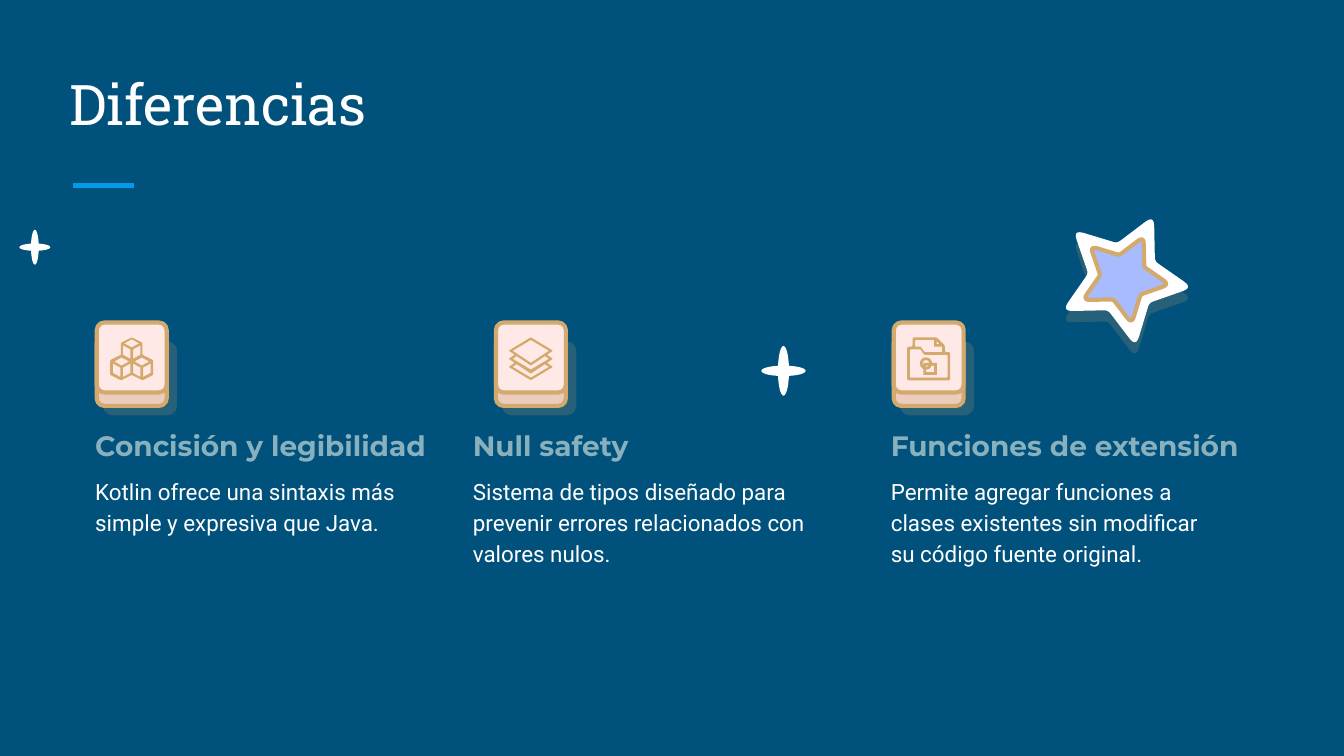
import math
from dataclasses import dataclass

import pptx
import pptx.dml.color
import pptx.enum.shapes
import pptx.enum.text
import pptx.oxml
import pptx.util
from pptx.oxml.ns import nsdecls, qn

Inches = pptx.util.Inches
Pt = pptx.util.Pt
RGBColor = pptx.dml.color.RGBColor
Anchor = pptx.enum.text.MSO_ANCHOR

NAVY = RGBColor(0x00, 0x51, 0x7C)
BLUE = RGBColor(0x03, 0x9B, 0xE5)
WHITE = RGBColor(0xFF, 0xFF, 0xFF)
TEAL = RGBColor(0x88, 0xB1, 0xBD)
GOLD = RGBColor(0xD3, 0xA9, 0x6D)
SAND = RGBColor(0xEC, 0xCC, 0xBF)
BLUSH = RGBColor(0xFF, 0xE9, 0xE7)
LILAC = RGBColor(0xA7, 0xBB, 0xFE)

TITLE = dict(name="Roboto Slab", size=Pt(30), bold=False)
HEADING = dict(name="Montserrat", size=Pt(15), bold=True)
BODY = dict(name="Roboto", size=Pt(12), bold=False)

TILE = 0.52
TILE_TOP = 2.4
Points = list[tuple[float, float]]


@dataclass
class Feature:
    heading: str
    body: str
    tile_left: float
    text_left: float
    heading_width: float
    body_width: float
    icon: list[list[Points]]


def mirrored(right: Points) -> Points:
    """Close a right-hand profile with its reflection in the vertical axis."""
    return right + [(-x, y) for x, y in reversed(right) if x]


def shifted(points: Points, dx: float, dy: float) -> Points:
    return [(x + dx, y + dy) for x, y in points]


def rounded(points: Points, cuts: list[float]) -> Points:
    """Replace each corner with a curve that starts the given cut away from it."""
    out = []
    for i, (corner, cut) in enumerate(zip(points, cuts)):
        ends = []
        for near in (points[i - 1], points[(i + 1) % len(points)]):
            k = cut / math.dist(corner, near)
            ends.append([c + k * (n - c) for c, n in zip(corner, near)])
        for t in (0, 0.2, 0.4, 0.6, 0.8, 1):
            out.append(tuple((1 - t) ** 2 * a + 2 * t * (1 - t) * c + t * t * b
                             for a, c, b in zip(ends[0], corner, ends[1])))
    return out


def star_points(scale: float) -> Points:
    radii = [0.52 * scale, 0.265 * scale] * 5
    angles = [math.radians(7.8 + 36 * i) for i in range(10)]
    corners = [(r * math.cos(a), r * math.sin(a)) for r, a in zip(radii, angles)]
    return rounded(corners, [0.08 * scale, 0.03 * scale] * 5)


def sparkle_points(width: float, height: float) -> Points:
    """Outline of a tall and a wide thin ellipse laid across each other."""
    a, b = width / 2, height / 2
    out = []
    for i in range(120):
        c, s = math.cos(math.pi * i / 60), math.sin(math.pi * i / 60)
        r = max(1 / math.hypot(c / (0.25 * a), s / b),
                1 / math.hypot(c / a, s / (0.21 * b)))
        out.append((r * c, r * s))
    return out


def cubes_icon() -> list[Points]:
    outline = mirrored([(0, -0.16), (0.08, -0.12), (0.08, -0.03), (0.16, 0.01),
                        (0.16, 0.12), (0.08, 0.16), (0, 0.12)])
    top = mirrored([(0, -0.03), (0.055, 0), (0, 0.03)])
    side = [(0.065, 0.015), (0.01, 0.045), (0.01, 0.115), (0.065, 0.085)]
    faces = [top, side, [(-x, y) for x, y in side]]
    places = [(0, -0.115), (-0.075, 0.02), (0.075, 0.02)]
    return [rounded(outline, [0.01] * len(outline))] + [
        shifted(face, dx, dy) for dx, dy in places for face in faces]


def layers_icon() -> list[Points]:
    outline = mirrored([(0, -0.16), (0.165, -0.06), (0.12, -0.03), (0.165, 0),
                        (0.12, 0.03), (0.165, 0.06), (0, 0.16)])
    sheet = mirrored([(0, -0.14), (0.135, -0.06), (0, 0.03)])
    edge = mirrored([(0, 0.05), (0.105, -0.02), (0.135, 0), (0, 0.08)])
    return [rounded(outline, [0.01] * len(outline)), sheet, edge, shifted(edge, 0, 0.06)]


def folder_icon() -> list[Points]:
    outline = [(-0.16, -0.09), (-0.12, -0.09), (-0.12, -0.16), (0.06, -0.16), (0.12, -0.1),
               (0.12, -0.05), (0.16, -0.05), (0.16, 0.16), (-0.16, 0.16)]
    paper = [(-0.1, -0.14), (0.04, -0.14), (0.04, -0.09), (0.1, -0.09),
             (0.1, -0.05), (-0.03, -0.05), (-0.06, -0.09), (-0.1, -0.09)]
    fold = [(0.06, -0.13), (0.08, -0.11), (0.06, -0.11)]
    front = [(-0.14, -0.07), (-0.06, -0.07), (-0.035, -0.03),
             (0.14, -0.03), (0.14, 0.14), (-0.14, 0.14)]
    return [rounded(outline, [0.015] * len(outline)), paper, fold,
            rounded(front, [0.01] * len(front))]


def emblem_icon() -> list[Points]:
    """A ring and a square frame that overlap."""
    def arc(radius: float, start: float, end: float) -> Points:
        angles = [math.radians(start + (end - start) * i / 24) for i in range(25)]
        return [(-0.02 + radius * math.cos(a), 0.035 + radius * math.sin(a)) for a in angles]

    return [arc(0.045, -7, -244) + [(-0.04, 0.12), (0.06, 0.12), (0.06, 0.03)],
            arc(0.025, -12, -217) + [(-0.04, 0.03)],
            arc(0.025, 37, 90) + [(-0.02, 0.05)],
            arc(0.045, 20, 90) + [(-0.02, 0.1), (0.04, 0.1), (0.04, 0.05)]]


def paint(sp, fill: RGBColor, line: RGBColor | None = None) -> None:
    sp.shadow.inherit = False
    sp.fill.solid()
    sp.fill.fore_color.rgb = fill
    if line is None:
        sp.line.fill.background()
    else:
        sp.line.color.rgb = line
        sp.line.width = Pt(2.25)


def cast_shadow(sp, alpha: int, angle: int) -> None:
    sp._element.spPr.find(qn("a:effectLst")).append(pptx.oxml.parse_xml(
        f'<a:outerShdw {nsdecls("a")} blurRad="0" dist="{Pt(6)}" dir="{angle * 60000}" '
        f'algn="bl" rotWithShape="0"><a:srgbClr val="{GOLD}">'
        f'<a:alpha val="{alpha * 1000}"/></a:srgbClr></a:outerShdw>'))


def add_outline(s, contours: list[Points], cx: float, cy: float):
    """Draw closed contours around a centre; inner contours become holes."""
    paths = [[(Inches(cx + x), Inches(cy + y)) for x, y in c] for c in contours]
    builder = s.shapes.build_freeform(*paths[0][0], scale=1.0)
    for i, path in enumerate(paths):
        if i:
            builder.move_to(*path[0])
        builder.add_line_segments(path[1:], close=True)
    return builder.convert_to_shape()


def add_text(s, text: str, box: tuple, font: dict, color: RGBColor, anchor=Anchor.BOTTOM):
    tf = s.shapes.add_textbox(*map(Inches, box)).text_frame
    margins = {f"margin_{side}": Inches(0.1) for side in ("left", "top", "right", "bottom")}
    for key, value in dict(margins, word_wrap=True, vertical_anchor=anchor).items():
        setattr(tf, key, value)
    p = tf.paragraphs[0]
    r = p.add_run()
    r.text = text
    for key, value in font.items():
        setattr(r.font, key, value)
    r.font.color.rgb = color
    return p


def add_feature(s, f: Feature) -> None:
    for top, fill in ((TILE_TOP + 0.1, SAND), (TILE_TOP, BLUSH)):
        sp = s.shapes.add_shape(pptx.enum.shapes.MSO_SHAPE.ROUNDED_RECTANGLE,
                                *map(Inches, (f.tile_left, top, TILE, TILE)))
        sp.adjustments[0] = 0.108
        paint(sp, fill, GOLD)
        if fill == SAND:
            cast_shadow(sp, 18, 42)
    for contours in f.icon:
        paint(add_outline(s, contours, f.tile_left + TILE / 2, TILE_TOP + 0.27), GOLD)
    p = add_text(s, f.body, (f.text_left, 3.43, f.body_width, 0.74), BODY, WHITE, Anchor.TOP)
    p.line_spacing = 1.15
    p.space_after = Pt(16)
    add_text(s, f.heading, (f.text_left, 3, f.heading_width, 0.54), HEADING, TEAL)


FEATURES = [
    Feature("Concisión y legibilidad", "Kotlin ofrece una sintaxis más simple y expresiva que Java.",
            0.72, 0.61, 2.74, 2.51, [cubes_icon()]),
    Feature("Null safety",
            "Sistema de tipos diseñado para prevenir errores relacionados con valores nulos.",
            3.69, 3.42, 2.51, 2.81, [layers_icon()]),
    Feature("Funciones de extensión",
            "Permite agregar funciones a clases existentes sin modificar su código fuente original.",
            6.65, 6.53, 2.86, 2.51, [folder_icon(), emblem_icon()]),
]


def main() -> None:
    prs = pptx.Presentation()
    prs.slide_width, prs.slide_height = Inches(10), Inches(10 * 9 / 16)
    s = prs.slides.add_slide(prs.slide_layouts[6])
    s.background.fill.solid()
    s.background.fill.fore_color.rgb = NAVY

    rule = s.shapes.add_connector(pptx.enum.shapes.MSO_CONNECTOR.STRAIGHT,
                                  *map(Inches, (0.54, 1.38, 1, 1.38)))
    rule.line.color.rgb = BLUE
    rule.line.width = Pt(3)
    rule._element.spPr.append(pptx.oxml.parse_xml(f'<a:effectLst {nsdecls("a")}/>'))
    add_text(s, "Diferencias", (0.42, 0.37, 9.15, 0.75), TITLE, WHITE)

    for feature in FEATURES:
        add_feature(s, feature)
    for cx, cy, width, height in ((5.83, 2.76, 0.33, 0.37), (0.26, 1.84, 0.23, 0.26)):
        paint(add_outline(s, [sparkle_points(width, height)], cx, cy), WHITE)
    star = add_outline(s, [star_points(1)], 8.36, 2.07)
    paint(star, WHITE)
    cast_shadow(star, 19, 90)
    paint(add_outline(s, [star_points(0.66)], 8.36, 2.07), LILAC, GOLD)

    prs.save("out.pptx")


if __name__ == "__main__":
    main()
